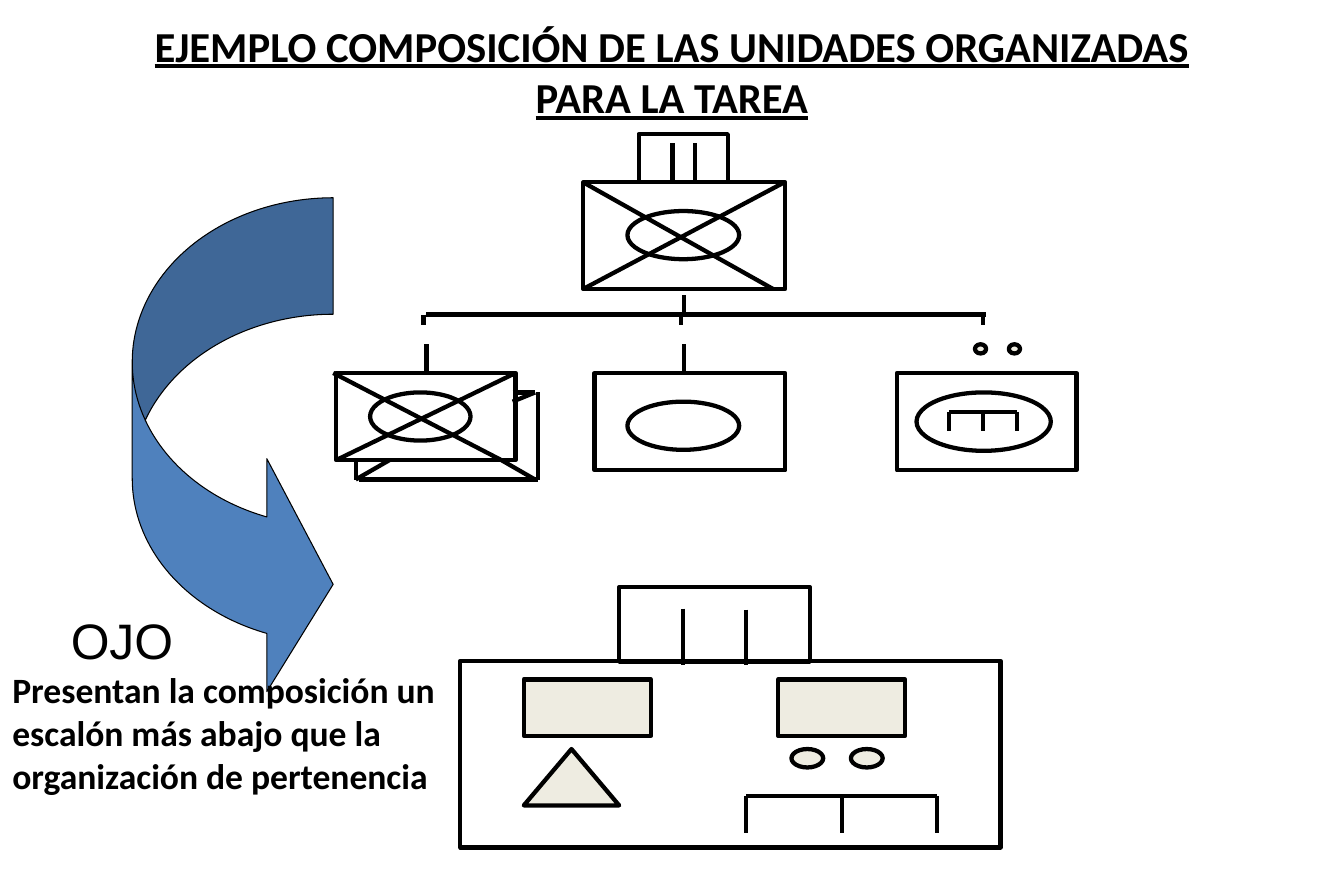
from dataclasses import dataclass
from lxml import etree
from pptx import Presentation, util as u
from pptx.dml.color import RGBColor
from pptx.enum import shapes, text
from pptx.oxml.ns import qn


@dataclass(frozen=True)
class Theme:
    ink: RGBColor = RGBColor.from_string("000000")
    sand: RGBColor = RGBColor.from_string("EEECE1")
    blue: RGBColor = RGBColor.from_string("4F81BD")
    heading_font: str = "Calibri"
    label_font: str = "Arial"
    title_size: int = 30
    note_size: int = 25
    label_size: int = 35
    stroke: float = 3
    thin_stroke: float = 0.75


theme = Theme()
preset = shapes.MSO_SHAPE

deck = Presentation()
deck.slide_width = u.Inches(13.11)
deck.slide_height = u.Inches(8.51)
page = deck.slides.add_slide(deck.slide_layouts[5])


def draw_shape(kind, left, top, width, height, fill=None, stroke=theme.stroke):
    shape = page.shapes.add_shape(
        kind, u.Inches(left), u.Inches(top), u.Inches(width), u.Inches(height))
    shape.shadow.inherit = False
    if fill is None:
        shape.fill.background()
    else:
        shape.fill.solid()
        shape.fill.fore_color.rgb = fill
    shape.line.color.rgb = theme.ink
    shape.line.width = u.Pt(stroke)
    return shape


def draw_line(x1, y1, x2, y2):
    line = page.shapes.add_connector(
        shapes.MSO_CONNECTOR.STRAIGHT,
        u.Inches(x1), u.Inches(y1), u.Inches(x2), u.Inches(y2))
    line.line.color.rgb = theme.ink
    line.line.width = u.Pt(theme.stroke)
    etree.SubElement(line._element.spPr, qn("a:effectLst"))


title = page.shapes.title
title.left, title.top = u.Inches(0.98), u.Inches(-0.02)
title.width, title.height = u.Inches(11.15), u.Inches(1.42)
title.text_frame.text = "EJEMPLO COMPOSICIÓN DE LAS UNIDADES ORGANIZADAS PARA LA TAREA"
title.text_frame.auto_size = text.MSO_AUTO_SIZE.NONE
title.text_frame.vertical_anchor = text.MSO_ANCHOR.MIDDLE
title.text_frame.paragraphs[0].alignment = text.PP_ALIGN.CENTER
span = title.text_frame.paragraphs[0].runs[0]
span.font.name = theme.heading_font
span.font.size = u.Pt(theme.title_size)
span.font.bold = span.font.underline = True
span.font.color.rgb = theme.ink

unit_frames = [
    (5.69, 1.78, 1.97, 1.04),
    (6.23, 1.31, 0.87, 0.47),
    (3.28, 3.64, 1.75, 0.85),
    (5.8, 3.64, 1.86, 0.95),
    (8.75, 3.64, 1.75, 0.95),
    (4.49, 6.45, 5.27, 1.82),
    (6.04, 5.73, 1.86, 0.73),
]
for frame in unit_frames:
    draw_shape(preset.RECTANGLE, *frame)

armor_ovals = [
    (6.12, 2.06, 1.09, 0.47),
    (3.61, 3.83, 0.98, 0.47),
    (6.12, 3.92, 1.09, 0.47),
    (8.94, 3.83, 1.31, 0.57),
]
for oval in armor_ovals:
    draw_shape(preset.OVAL, *oval)

infantry_crosses = [
    (5.69, 1.78, 7.54, 2.82), (5.69, 2.82, 7.65, 1.78),
    (3.25, 3.64, 4.89, 4.49), (3.28, 4.49, 5.03, 3.64),
]
stacked_company = [
    (5, 3.83, 5.22, 3.83), (5.25, 3.83, 5.25, 4.68),
    (3.5, 4.68, 5.25, 4.68), (3.47, 4.49, 3.47, 4.68),
    (4.89, 4.49, 5.22, 4.68), (3.47, 4.68, 3.8, 4.49),
    (5.22, 3.83, 5, 3.92),
]
battalion_bars = [
    (6.56, 1.4, 6.56, 1.78), (6.78, 1.4, 6.78, 1.78),
    (6.66, 5.94, 6.66, 6.49), (7.28, 5.95, 7.28, 6.49),
]
hierarchy = [(6.67, 2.88, 6.67, 3.07), (4.16, 3.07, 9.62, 3.07)]
hierarchy += [(x, 3.07, x, 3.17) for x in (4.13, 6.64, 9.59)]
company_bars = [(x, 3.36, x, 3.64) for x in (4.16, 6.67)]
for ends in infantry_crosses + stacked_company + battalion_bars + hierarchy + company_bars:
    draw_line(*ends)

for left, top, width, drop in [(9.26, 4.02, 0.66, 0.19), (7.28, 7.77, 1.86, 0.36)]:
    draw_line(left, top, left + width, top)
    for tooth in range(3):
        x = left + tooth * width / 2
        draw_line(x, top, x, top + drop)

for left in (9.51, 9.84):
    draw_shape(preset.OVAL, left, 3.36, 0.11, 0.09, theme.sand)
for left in (7.72, 8.3):
    draw_shape(preset.OVAL, left, 7.31, 0.31, 0.18, theme.sand)
for left in (5.11, 7.59):
    draw_shape(preset.RECTANGLE, left, 6.63, 1.24, 0.55, theme.sand)
draw_shape(preset.FLOWCHART_EXTRACT, 5.11, 7.31, 0.93, 0.55, theme.sand)

arrow = draw_shape(preset.CURVED_RIGHT_ARROW, 1.29, 1.93, 1.96, 4.91,
                   theme.blue, theme.thin_stroke)
for index, value in enumerate((0.58, 1.16, 0.33)):
    arrow.adjustments[index] = value

notes = [
    ("Presentan la composición un escalón más abajo que la organización de pertenencia",
     (0, 6.46, 4.49, 1.39), theme.heading_font, theme.note_size, True),
    ("OJO", (0.57, 5.89, 1.39, 0.71), theme.label_font, theme.label_size, False),
]
for wording, place, font, size, bold in notes:
    box = page.shapes.add_textbox(*[u.Inches(length) for length in place])
    frame = box.text_frame
    frame.word_wrap = True
    frame.margin_left = frame.margin_right = u.Inches(0.12)
    frame.margin_top = frame.margin_bottom = u.Inches(0.06)
    frame.text = wording
    span = frame.paragraphs[0].runs[0]
    span.font.name = font
    span.font.size = u.Pt(size)
    span.font.bold = bold
    span.font.color.rgb = theme.ink

deck.save("out.pptx")
